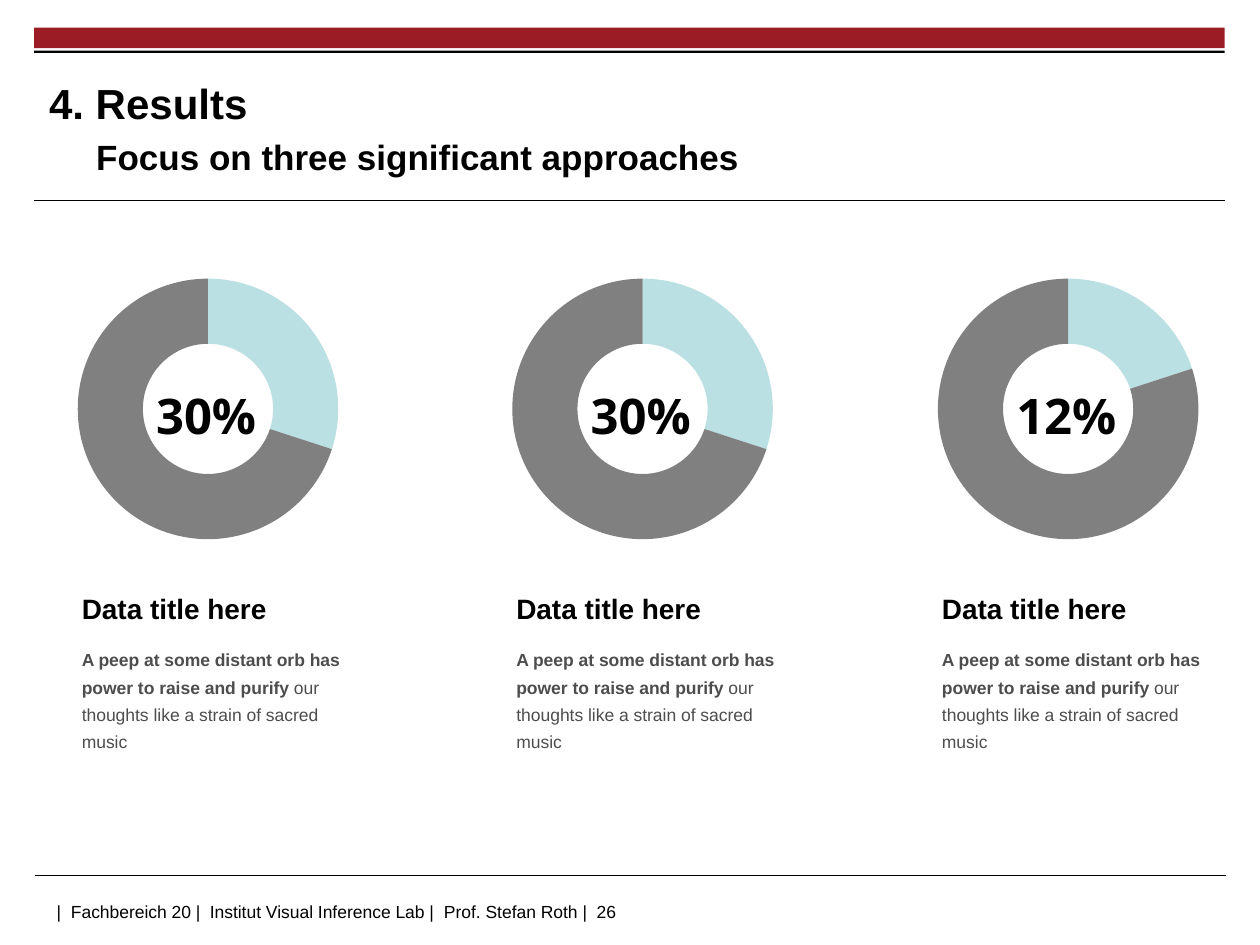
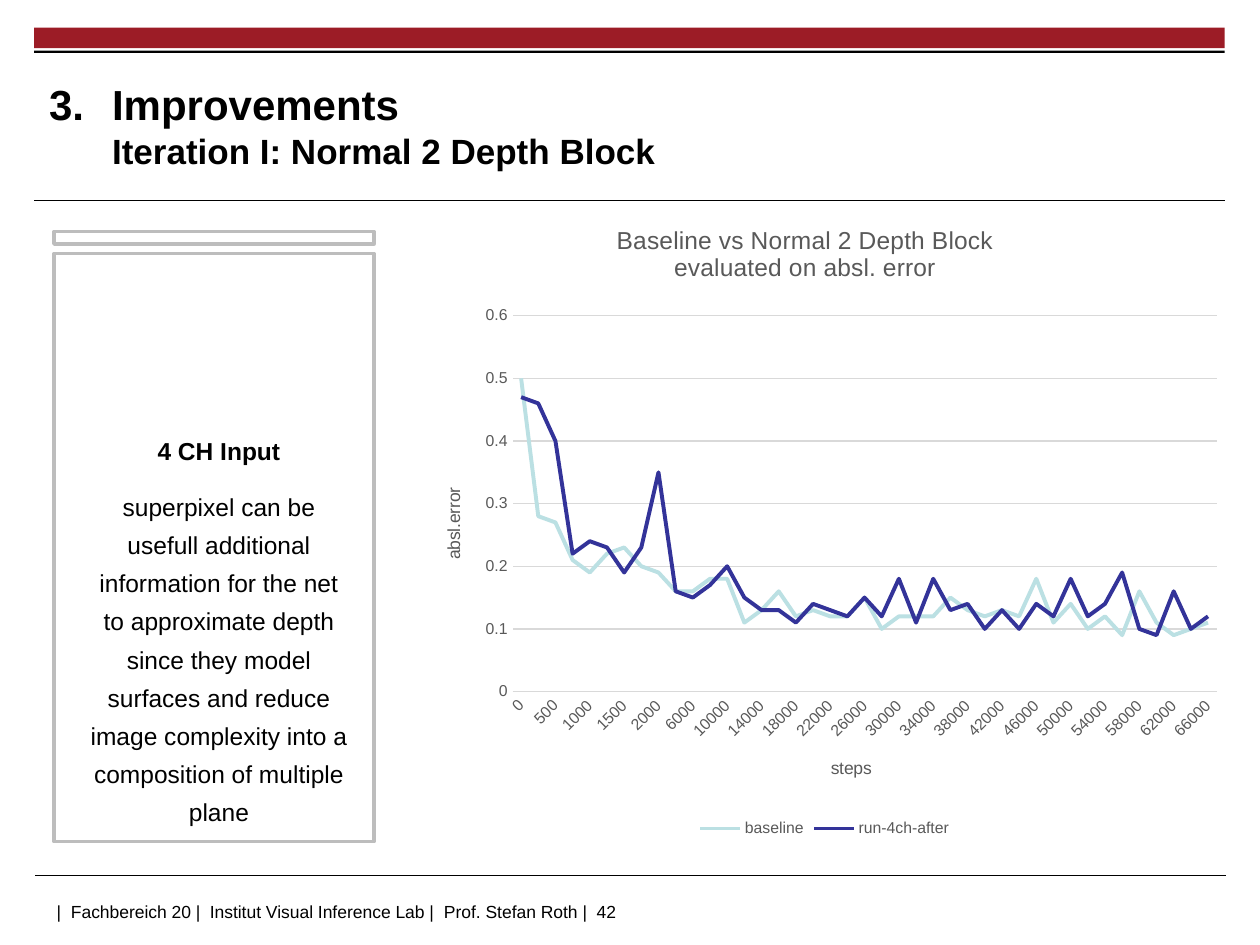
"""Build two report slides with ring charts and an error curve."""
from lxml import etree
from pptx import Presentation, util as u
from pptx.chart.data import CategoryChartData
from pptx.dml.color import RGBColor
from pptx.enum import chart as charts, shapes, text
from pptx.oxml.ns import qn

BLACK, WHITE, RED = "000000", "FFFFFF", "9C1C26"
AQUA, NAVY, GREY = "BBE0E3", "333399", "808080"
BODY, AXIS, GRID, BORDER = "4D4D4D", "595959", "D9D9D9", "BDBDBD"

BASELINE = [
    0.5, 0.28, 0.27, 0.21, 0.19, 0.22, 0.23, 0.2, 0.19, 0.16, 0.16, 0.18, 0.18, 0.11,
    0.13, 0.16, 0.12, 0.13, 0.12, 0.12, 0.15, 0.1, 0.12, 0.12, 0.12, 0.15, 0.13, 0.12,
    0.13, 0.12, 0.18, 0.11, 0.14, 0.1, 0.12, 0.09, 0.16, 0.11, 0.09, 0.1, 0.11]
RUN_4CH = [
    0.47, 0.46, 0.4, 0.22, 0.24, 0.23, 0.19, 0.23, 0.35, 0.16, 0.15, 0.17, 0.2, 0.15,
    0.13, 0.13, 0.11, 0.14, 0.13, 0.12, 0.15, 0.12, 0.18, 0.11, 0.18, 0.13, 0.14, 0.1,
    0.13, 0.1, 0.14, 0.12, 0.18, 0.12, 0.14, 0.19, 0.1, 0.09, 0.16, 0.1, 0.12]
STEPS = [*range(0, 2000, 250), *range(2000, 66001, 2000)]


def color(value):
    return RGBColor.from_string(value)


def child(parent, tag, **attributes):
    element = etree.SubElement(parent, qn(tag))
    for name, value in attributes.items():
        element.set(name, str(value))
    return element


def place(parent, index, inner=False, **parts):
    """Give a chart part a fixed layout, in fractions of the chart."""
    for old in parent.findall(qn("c:layout")):
        parent.remove(old)
    layout = etree.Element(qn("c:layout"))
    parent.insert(index, layout)
    manual = child(layout, "c:manualLayout")
    if inner:
        child(manual, "c:layoutTarget", val="inner")
    for name in ("x", "y"):
        child(manual, f"c:{name}Mode", val="edge")
    for name, value in parts.items():
        child(manual, f"c:{name}", val=value)


class Deck:
    """Holds the presentation, its style and the current slide."""

    def __init__(self):
        self.presentation = Presentation()
        self.presentation.slide_width = u.Cm(25.4)
        self.presentation.slide_height = u.Cm(19.05)
        self.font = "Arial"
        self.slide = None

    def style(self, font, size, ink=BLACK, bold=False, name=None):
        font.name = name or self.font
        font.size = u.Pt(size)
        font.bold = bold
        font.color.rgb = color(ink)

    def new_slide(self, number):
        self.slide = self.presentation.slides.add_slide(self.presentation.slide_layouts[6])
        self.box(0.69, 0.56, 24, 0.41, RED)
        self.box(0.69, 1.02, 24, 0.05, BLACK)
        self.rule(0.69, 4.04)
        self.rule(0.71, 17.65)
        self.footer(number)

    def box(self, left, top, width, height, fill, border=None):
        shape = self.slide.shapes.add_shape(
            shapes.MSO_SHAPE.RECTANGLE, *map(u.Cm, (left, top, width, height)))
        shape.shadow.inherit = False
        shape.fill.solid()
        shape.fill.fore_color.rgb = color(fill)
        if border:
            shape.line.color.rgb = color(border)
            shape.line.width = u.Pt(2)
        else:
            shape.line.fill.background()
        return shape

    def rule(self, left, top):
        line = self.slide.shapes.add_connector(
            shapes.MSO_CONNECTOR.STRAIGHT, *map(u.Cm, (left, top, left + 24, top)))
        line.line.color.rgb = color(BLACK)
        line.line.width = u.Pt(0.6)
        child(line._element.spPr, "a:effectLst")

    def frame(self, shape, insets, anchor=text.MSO_ANCHOR.TOP):
        frame = shape.text_frame
        frame.word_wrap = True
        frame.vertical_anchor = anchor
        (frame.margin_left, frame.margin_top,
         frame.margin_right, frame.margin_bottom) = map(u.Cm, insets)
        return frame

    def text_box(self, left, top, width, height, insets=(0, 0, 0, 0), anchor=text.MSO_ANCHOR.TOP):
        shape = self.slide.shapes.add_textbox(*map(u.Cm, (left, top, width, height)))
        return self.frame(shape, insets, anchor)

    def footer(self, number):
        paragraph = self.text_box(1.14, 18.03, 19.5, 0.64, (0, 0.13, 0, 0.13)).paragraphs[0]
        paragraph.text = ("|\tFachbereich 20 |\tInstitut Visual Inference Lab |"
                          f"\tProf. Stefan Roth |\t{number}")
        tabs = child(paragraph._p.get_or_add_pPr(), "a:tabLst")
        for position in (0.29, 3.09, 7.81, 10.89):
            child(tabs, "a:tab", pos=u.Cm(position), algn="l")
        self.style(paragraph.font, 10)

    def title(self, top, heading, subheading, indent, gap=0, number=None):
        frame = self.text_box(0.99, top, 18.44, 2.34, anchor=text.MSO_ANCHOR.MIDDLE)
        frame.text = f"{heading}\n{subheading}"
        first, second = frame.paragraphs
        if number:
            properties = first._p.get_or_add_pPr()
            properties.set("marL", str(u.Cm(indent)))
            properties.set("indent", str(-u.Cm(indent)))
            child(properties, "a:buFont", typeface=self.font)
            child(properties, "a:buAutoNum", type="arabicPeriod", startAt=number)
        second._p.get_or_add_pPr().set("marL", str(u.Cm(indent)))
        second.space_before = u.Pt(gap)
        for paragraph, size in ((first, 24), (second, 20)):
            self.style(paragraph.runs[0].font, size, bold=True)

    def story(self, frame, heading, parts, heading_size, size, ink, align):
        """Write a bold heading and a paragraph of (text, bold) parts."""
        frame.text = heading
        body = frame.add_paragraph()
        body.space_before = u.Pt(10)
        for paragraph in frame.paragraphs:
            paragraph.line_spacing = 1.3
            paragraph.alignment = align
        self.style(frame.paragraphs[0].runs[0].font, heading_size, bold=True)
        for words, bold in parts:
            run = body.add_run()
            run.text = words
            self.style(run.font, size, ink, bold)

    def chart(self, kind, left, top, width, height, categories, series):
        data = CategoryChartData()
        data.categories = categories
        for name, values in series:
            data.add_series(name, values)
        chart = self.slide.shapes.add_chart(
            kind, *map(u.Cm, (left, top, width, height)), data).chart
        self.style(chart.font, 10)
        chart.has_title = chart.has_legend = False
        return chart

    def ring(self, left, share, label):
        chart = self.chart(charts.XL_CHART_TYPE.DOUGHNUT, left, 5.26, 7.57, 5.97,
                           ["1", "2"], [("Series 1", (share, 100 - share))])
        plot = chart.plots[0]
        plot.vary_by_categories = True
        plot._element.find(qn("c:holeSize")).set("val", "80")
        place(plot._element.getparent(), 0, True, x=0.15, y=0.06, w=0.7, h=0.88)
        for index, fill in enumerate((AQUA, GREY)):
            point = plot.series[0].points[index].format
            point.fill.solid()
            point.fill.fore_color.rgb = color(fill)
            point.line.fill.background()
        paragraph = self.text_box(left + 2.13, 7.44, 3.23, 1.45, (0.25, 0, 0.25, 0.13),
                                  text.MSO_ANCHOR.MIDDLE).paragraphs[0]
        paragraph.text = label
        paragraph.alignment = text.PP_ALIGN.CENTER
        paragraph.line_spacing = 1.45
        self.style(paragraph.runs[0].font, 28, bold=True, name="Open Sans")

    def heading(self, owner, words, size):
        """Title a chart or an axis."""
        owner.has_title = True
        title = owner.chart_title if hasattr(owner, "chart_title") else owner.axis_title
        title.text_frame.text = words
        for paragraph in title.text_frame.paragraphs:
            self.style(paragraph.runs[0].font, size, AXIS)
        return title

    def error_chart(self):
        chart = self.chart(charts.XL_CHART_TYPE.LINE, 8.41, 4.19, 16.43, 12.8,
                           [str(step) for step in STEPS],
                           [("baseline", BASELINE), ("run-4ch-after", RUN_4CH)])
        title = self.heading(
            chart, "Baseline vs Normal 2 Depth Block\nevaluated on absl. error", 14)
        place(title._element, 1, x=0.24, y=0.02)
        title.include_in_layout = False
        plot = chart.plots[0]
        plot.vary_by_categories = False
        place(plot._element.getparent(), 0, True, x=0.117, y=0.17, w=0.864, h=0.592)
        for series, ink in zip(plot.series, (AQUA, NAVY)):
            series.smooth = False
            series.marker.style = charts.XL_MARKER_STYLE.NONE
            series.format.line.color.rgb = color(ink)
            series.format.line.width = u.Pt(2.25)
        steps, error = chart.category_axis, chart.value_axis
        for axis, words in ((steps, "steps"), (error, "absl.error")):
            axis.major_tick_mark = axis.minor_tick_mark = charts.XL_TICK_MARK.NONE
            self.style(axis.tick_labels.font, 9, AXIS)
            self.heading(axis, words, 10)
        labels = steps._element.find(qn("c:txPr")).find(qn("a:bodyPr"))
        labels.set("rot", "-2700000")
        error.minimum_scale, error.maximum_scale, error.major_unit = 0, 0.6, 0.1
        error.format.line.fill.background()
        for line in (steps.format.line, error.major_gridlines.format.line):
            line.color.rgb = color(GRID)
            line.width = u.Pt(0.75)
        chart.has_legend = True
        chart.legend.position = charts.XL_LEGEND_POSITION.BOTTOM
        chart.legend.include_in_layout = False
        self.style(chart.legend.font, 9, AXIS)


def results(deck):
    deck.new_slide(26)
    deck.title(1.4, "4. Results", "Focus on three significant approaches", 0.95, gap=4)
    for left, share, label in ((0.41, 30, "30%"), (9.17, 30, "30%"), (17.75, 20, "12%")):
        deck.ring(left, share, label)
        caption = deck.text_box(left + 1.24, 11.63, 6.02, 3.66, (0, 0.1, 0.61, 0.1))
        deck.story(caption, "Data title here",
                   [("A peep at some distant orb has power to raise and purify ", True),
                    ("our thoughts like a strain of sacred music", False)],
                   16, 10, BODY, text.PP_ALIGN.LEFT)


def improvements(deck):
    deck.new_slide(42)
    deck.title(1.35, "Improvements", "Iteration I: Normal 2 Depth Block", 1.27, number=3)
    card = deck.box(1.09, 5.11, 6.45, 11.86, WHITE, BORDER)
    deck.box(1.09, 4.67, 6.45, 0.25, WHITE, BORDER)
    frame = deck.frame(card, (0.71, 0.89, 0.51, 0.3), text.MSO_ANCHOR.BOTTOM)
    deck.story(frame, "4 CH Input",
               [("superpixel can be usefull additional information for the net to approximate "
                 "depth since they model surfaces and reduce image complexity into a "
                 "composition of multiple plane", False)],
               14, 14, BLACK, text.PP_ALIGN.CENTER)
    deck.error_chart()


def main():
    deck = Deck()
    results(deck)
    improvements(deck)
    deck.presentation.save("out.pptx")


if __name__ == "__main__":
    main()
